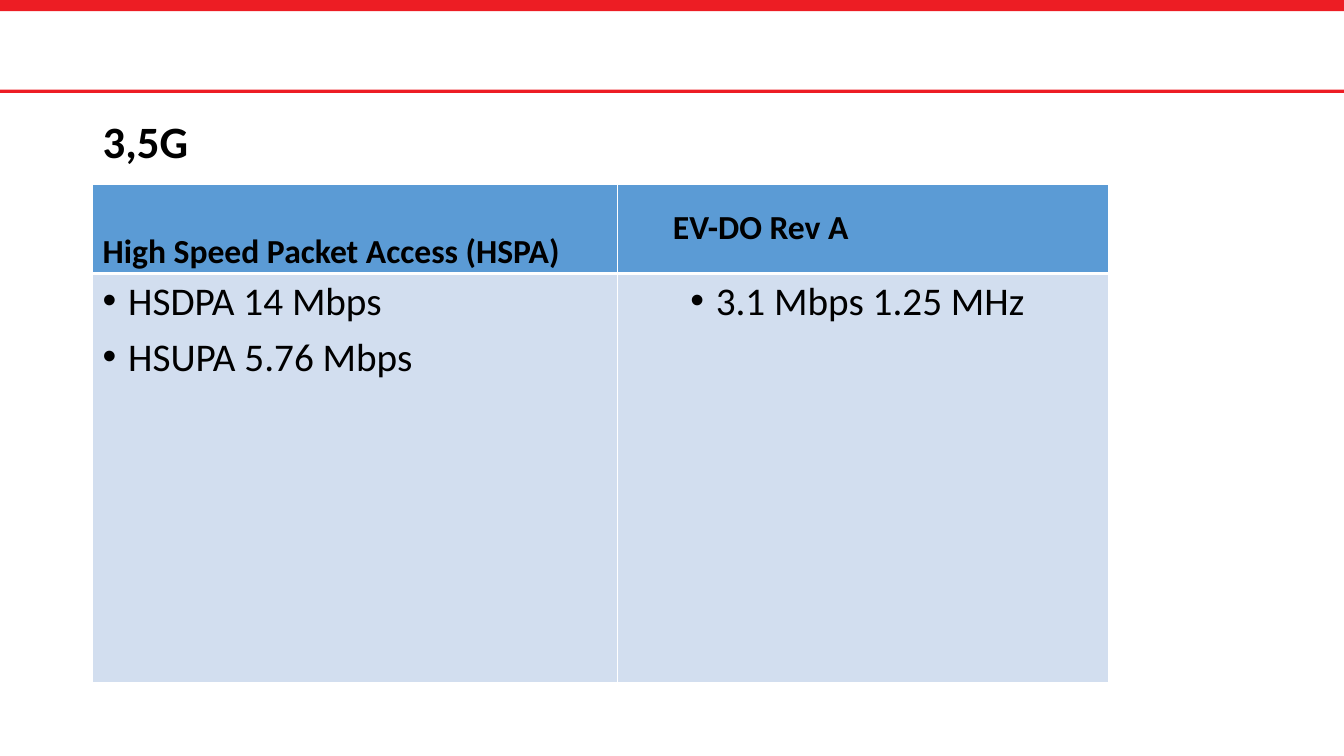
from dataclasses import dataclass

from lxml.etree import SubElement
from pptx import Presentation
from pptx.dml.color import RGBColor
from pptx.enum.shapes import MSO_SHAPE
from pptx.enum.text import MSO_ANCHOR
from pptx.oxml.ns import qn
from pptx.util import Cm, Pt


@dataclass(frozen=True)
class Theme:
    font: str = "Calibri"
    ink: str = "000000"
    rule: str = "ED1D24"
    header: str = "5B9BD5"
    body: str = "D2DEEF"
    border: str = "FFFFFF"
    title_size: int = 32
    heading_size: int = 24
    item_size: int = 28


THEME = Theme()
SLIDE_W, SLIDE_H = 33.87, 19.05
COLUMNS = [
    ("High Speed Packet Access (HSPA)", ["HSDPA 14 Mbps", "HSUPA 5.76 Mbps"]),
    ("EV-DO Rev A", ["3.1 Mbps 1.25 MHz"]),
]
# Boxes are left, top, width, height in centimetres.
TITLE_BOX = (2.34, 2.54, 29.21, 2.16)
TABLE_BOX = (2.34, 4.65, 25.6, 12.54)
HEADING_BOXES = [(2.34, 4.67, 14.33, 2.29), (16.71, 4.57, 11.23, 1.78)]
LIST_BOXES = [(2.34, 6.96, 14.33, 10.24), (17.15, 6.96, 14.4, 10.24)]


def add_rule(s, box):
    sp = s.shapes.add_shape(MSO_SHAPE.RECTANGLE, *map(Cm, box))
    sp.shadow.inherit = False
    sp.fill.solid()
    sp.fill.fore_color.rgb = RGBColor.from_string(THEME.rule)
    sp.line.fill.background()


def add_bullet(p):
    pPr = p._p.get_or_add_pPr()
    pPr.set("marL", str(Cm(0.64)))
    pPr.set("indent", str(-Cm(0.64)))
    SubElement(pPr, qn("a:buFont")).set("typeface", "Arial")
    SubElement(pPr, qn("a:buChar")).set("char", "•")


def add_text(s, box, lines, size, anchor, bold=False, bullets=False):
    tf = s.shapes.add_textbox(*map(Cm, box)).text_frame
    tf.word_wrap = True
    tf.vertical_anchor = anchor
    tf.text = "\n".join(lines)
    for i, p in enumerate(tf.paragraphs):
        p.line_spacing = 0.9
        if i:
            p.space_before = Pt(10)
        if bullets:
            add_bullet(p)
        for r in p.runs:
            r.font.name = THEME.font
            r.font.size = Pt(size)
            r.font.bold = bold
            r.font.color.rgb = RGBColor.from_string(THEME.ink)


def style_cell(cell, color, top, bottom):
    """Fill a cell and draw its borders; top and bottom are widths in points."""
    tcPr = cell._tc.get_or_add_tcPr()
    for side, width in (("L", 1), ("R", 1), ("T", top), ("B", bottom)):
        ln = SubElement(tcPr, qn(f"a:ln{side}"), w=str(Pt(width)))
        fill = SubElement(ln, qn("a:solidFill"))
        SubElement(fill, qn("a:srgbClr"), val=THEME.border)
    cell.fill.solid()
    cell.fill.fore_color.rgb = RGBColor.from_string(color)


def add_comparison_grid(s, box):
    left, top, width, height = box
    header_h, first_w = 2.24, 13.23
    table = s.shapes.add_table(2, 2, *map(Cm, box)).table
    for col, w in zip(table.columns, (first_w, width - first_w)):
        col.width = Cm(w)
    for row, h in zip(table.rows, (header_h, height - header_h)):
        row.height = Cm(h)
    for c in range(2):
        style_cell(table.cell(0, c), THEME.header, 1, 3)
        style_cell(table.cell(1, c), THEME.body, 3, 1)


def add_comparison_slide(prs):
    s = prs.slides.add_slide(prs.slide_layouts[6])
    add_rule(s, (0, 0, SLIDE_W, 0.28))
    add_rule(s, (0, 2.26, SLIDE_W, 0.08))
    add_comparison_grid(s, TABLE_BOX)
    for (heading, items), head_box, list_box in zip(COLUMNS, HEADING_BOXES, LIST_BOXES):
        add_text(s, head_box, [heading], THEME.heading_size, MSO_ANCHOR.BOTTOM, bold=True)
        add_text(s, list_box, items, THEME.item_size, MSO_ANCHOR.TOP, bullets=True)
    add_text(s, TITLE_BOX, ["3,5G"], THEME.title_size, MSO_ANCHOR.MIDDLE, bold=True)


def main():
    prs = Presentation()
    prs.slide_width, prs.slide_height = Cm(SLIDE_W), Cm(SLIDE_H)
    add_comparison_slide(prs)
    prs.save("out.pptx")


if __name__ == "__main__":
    main()
